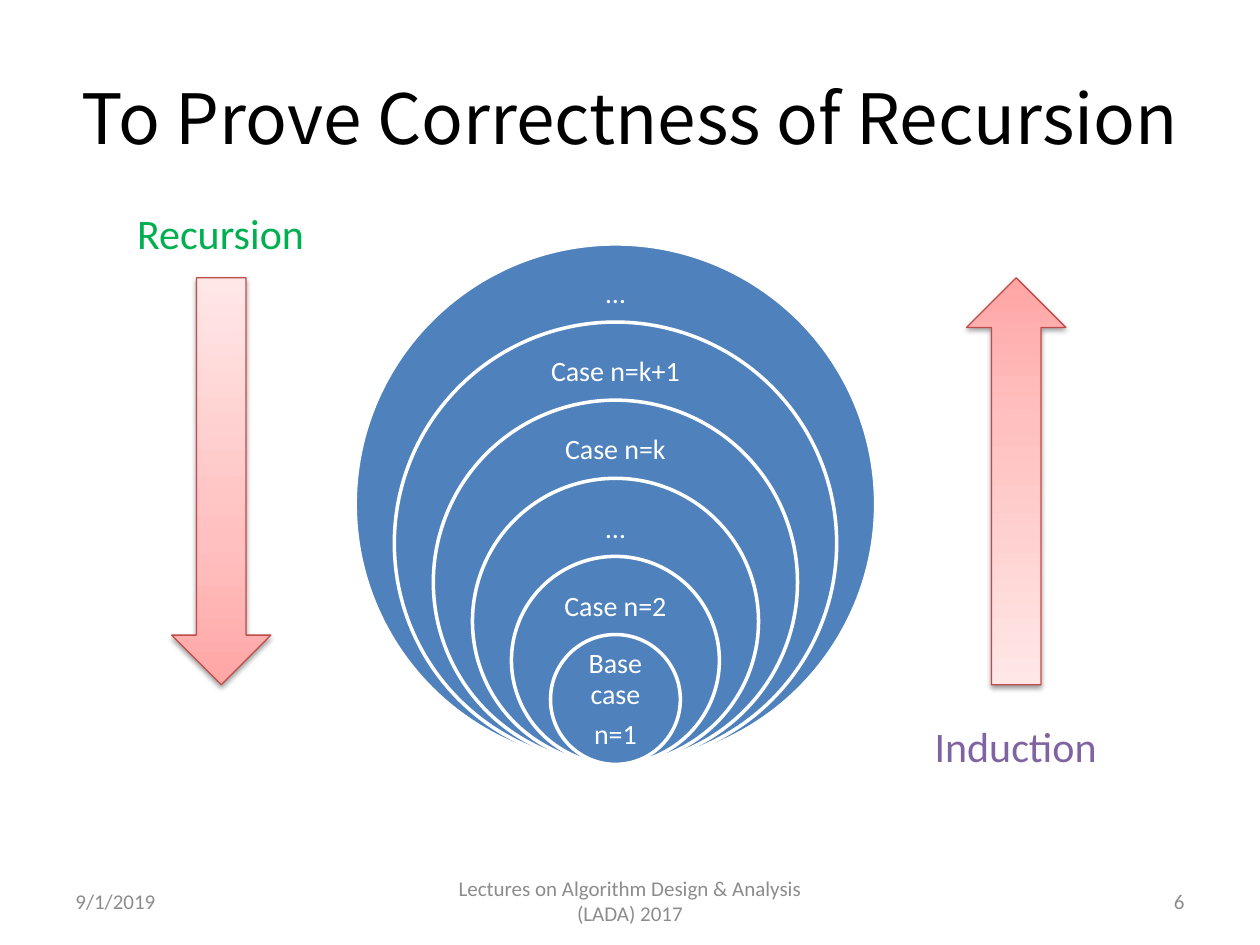
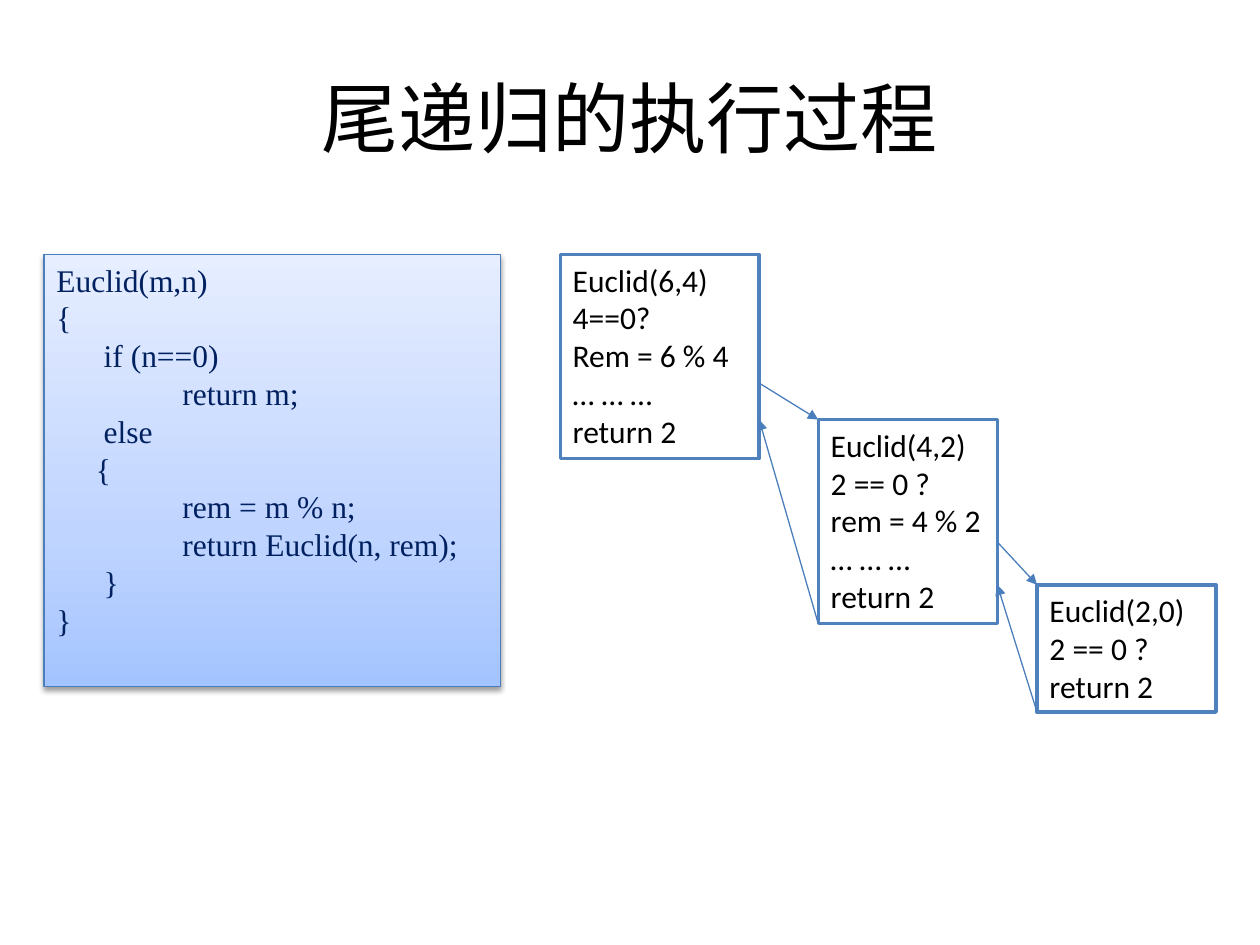
from pptx import Presentation
from pptx.dml.color import RGBColor
from pptx.enum.shapes import MSO_CONNECTOR as Connector, MSO_SHAPE as Shape
from pptx.enum.text import MSO_ANCHOR as Anchor, PP_ALIGN as Align
from pptx.oxml import parse_xml
from pptx.oxml.ns import nsdecls, qn
from pptx.util import Pt
from lxml.etree import SubElement

# Shared look
BLUE, WHITE, BLACK, GREY = "4F81BD", "FFFFFF", "000000", "8C8C8C"
EDGE_BLUE, EDGE_RED = "4B7EBC", "BF4C48"
PINK_STOPS = [(0, "FFA6A5"), (35, "FFC0BF"), (100, "FFE7E7")]
SKY_STOPS = [(0, "A4C4FF"), (35, "BFD4FF"), (100, "E6EEFF")]
BODY_FONT, CODE_FONT, TITLE_FONT = "Calibri", "Times New Roman", "Noto Sans CJK JP"
TITLES = [("To Prove Correctness of Recursion", 39.6), ("尾递归的执行过程", 44)]
color = RGBColor.from_string


def write_text(shape, lines, size, ink, font=BODY_FONT, align=Align.LEFT,
               anchor=Anchor.TOP, wrap=True):
    frame = shape.text_frame
    frame.word_wrap = wrap
    frame.vertical_anchor = anchor
    frame.text = "\n".join(lines)
    for paragraph in frame.paragraphs:
        paragraph.alignment = align
        paragraph.font.size = Pt(size)
        paragraph.font.name = font
        paragraph.font.color.rgb = color(ink)
    return frame


def shade(shape, stops, angle, edge):
    """Gradient fill, thin edge and soft shadow below the shape."""
    shape.fill.background()
    properties = shape._element.spPr
    stop_xml = "".join(
        f'<a:gs pos="{position * 1000}"><a:srgbClr val="{tone}"/></a:gs>'
        for position, tone in stops)
    properties.replace(properties.find(qn("a:noFill")), parse_xml(
        f'<a:gradFill {nsdecls("a")} rotWithShape="1"><a:gsLst>{stop_xml}</a:gsLst>'
        f'<a:lin ang="{angle * 60000}" scaled="0"/></a:gradFill>'))
    shape.line.color.rgb = color(edge)
    shape.line.width = Pt(0.75)
    shape.shadow.inherit = False
    properties.find(qn("a:effectLst")).append(parse_xml(
        f'<a:outerShdw {nsdecls("a")} blurRad="{Pt(3.1)}" dist="{Pt(1.6)}" '
        'dir="5400000" rotWithShape="0"><a:srgbClr val="000000">'
        '<a:alpha val="38000"/></a:srgbClr></a:outerShdw>'))


presentation = Presentation()
presentation.slide_width, presentation.slide_height = Pt(720), Pt(540)

# Slides with their titles
slides = []
for title, size in TITLES:
    slide = presentation.slides.add_slide(presentation.slide_layouts[6])
    box = slide.shapes.add_textbox(Pt(36), Pt(21.6), Pt(648), Pt(90))
    frame = write_text(box, [title], size, BLACK, TITLE_FONT, Align.CENTER, Anchor.MIDDLE)
    run_properties = frame.paragraphs[0].runs[0]._r.get_or_add_rPr()
    SubElement(run_properties, qn("a:ea")).set("typeface", TITLE_FONT)
    slides.append(slide)
recursion_slide, tail_slide = slides

# Slide 1: nested circles resting on one bottom point
shapes = recursion_slide.shapes
center, bottom, largest, step = 351.7, 436.8, 297.4, 44.64
rings = [(["…"], 111.6), (["Case n=k+1"], 108.8), (["Case n=k"], 108),
         (["…"], 88.6), (["Case n=2"], 77), (["Base case", "n=1"], 52.6)]
for index, (lines, width) in enumerate(rings):
    diameter = largest - index * step
    top = bottom - diameter
    circle = shapes.add_shape(Shape.OVAL, Pt(center - diameter / 2), Pt(top),
                              Pt(diameter), Pt(diameter))
    circle.shadow.inherit = False
    circle.fill.solid()
    circle.fill.fore_color.rgb = color(BLUE)
    circle.line.color.rgb = color(WHITE)
    circle.line.width = Pt(2)

    offset, height = (18.7, 37.4) if len(lines) > 1 else (14.4, 29.2)
    label = shapes.add_textbox(Pt(center - width / 2), Pt(top + offset),
                               Pt(width), Pt(height))
    frame = write_text(label, lines, 16, WHITE, align=Align.CENTER, anchor=Anchor.MIDDLE)
    frame.margin_left = frame.margin_right = Pt(8.9)
    frame.margin_top = frame.margin_bottom = Pt(8.9)
    for paragraph in frame.paragraphs:
        paragraph.line_spacing = 0.9
        paragraph.space_after = Pt(5.6)

# Slide 1: direction arrows, darker at the head, with their captions
for kind, left, angle in [(Shape.DOWN_ARROW, 98.1, 270), (Shape.UP_ARROW, 552.4, 90)]:
    arrow = shapes.add_shape(kind, Pt(left), Pt(158.8), Pt(56.7), Pt(232.5))
    shade(arrow, PINK_STOPS, angle, EDGE_RED)
for caption, left, top, width, ink in [("Recursion", 71.3, 115.2, 110.9, "00B050"),
                                       ("Induction", 527, 408.2, 108, "8064A2")]:
    box = shapes.add_textbox(Pt(left), Pt(top), Pt(width), Pt(36))
    write_text(box, [caption], 24, ink, wrap=False)

# Slide 1: footer row
for text, left, width, align in [
        ("9/1/2019", 36, 168, Align.LEFT),
        ("Lectures on Algorithm Design & Analysis (LADA) 2017", 246, 228, Align.CENTER),
        ("6", 516, 168, Align.RIGHT)]:
    box = shapes.add_textbox(Pt(left), Pt(500.4), Pt(width), Pt(28.8))
    write_text(box, [text], 12, GREY, align=align, anchor=Anchor.MIDDLE)

# Slide 2: code panel, each line with its indent
shapes = tail_slide.shapes
code = [("Euclid(m,n)", 0), ("{", 0), ("if (n==0)", 27), ("return m;", 72),
        ("else", 27), ("{", 22.5), ("rem = m % n;", 72),
        ("return Euclid(n, rem);", 72), ("}", 27), ("}", 0)]
panel = shapes.add_shape(Shape.RECTANGLE, Pt(25.2), Pt(145.4), Pt(260.9), Pt(247))
shade(panel, SKY_STOPS, 270, EDGE_BLUE)
frame = write_text(panel, [line for line, indent in code], 18, "002060", CODE_FONT)
for paragraph, (line, indent) in zip(frame.paragraphs, code):
    paragraph._p.get_or_add_pPr().set("marL", str(Pt(indent)))

# Slide 2: call frames stepping down to the right
first_top, drop = 145.4, 94.4
calls = [
    (320.2, 113.6, 116.6, ["Euclid(6,4)", "4==0?", "Rem = 6 % 4", "… … …", "return 2"]),
    (467.6, 102.3, 116.6, ["Euclid(4,2)", "2 == 0 ?", "rem = 4 % 2", "… … …", "return 2"]),
    (592.6, 102.3, 72.7, ["Euclid(2,0)", "2 == 0 ?", "return 2"])]
for index, (left, width, height, lines) in enumerate(calls):
    call = shapes.add_shape(Shape.RECTANGLE, Pt(left), Pt(first_top + index * drop),
                            Pt(width), Pt(height))
    call.shadow.inherit = False
    call.fill.solid()
    call.fill.fore_color.rgb = color(WHITE)
    call.line.color.rgb = color(BLUE)
    call.line.width = Pt(2)
    write_text(call, lines, 18, BLACK)

# Slide 2: an arrow into each nested call and one back out
for index, rise in enumerate([20.9, 24.5]):
    left, width = calls[index][:2]
    right = left + width
    next_left, _, next_height, _ = calls[index + 1]
    next_top = first_top + (index + 1) * drop
    for start, end in [((right, next_top - rise), (next_left, next_top)),
                       ((next_left, next_top + next_height), (right, next_top))]:
        link = shapes.add_connector(Connector.STRAIGHT, Pt(start[0]), Pt(start[1]),
                                    Pt(end[0]), Pt(end[1]))
        link.line.color.rgb = color(EDGE_BLUE)
        link.line.width = Pt(0.75)
        SubElement(link.line._get_or_add_ln(), qn("a:tailEnd")).set("type", "triangle")
        SubElement(link._element.spPr, qn("a:effectLst"))

presentation.save("out.pptx")
